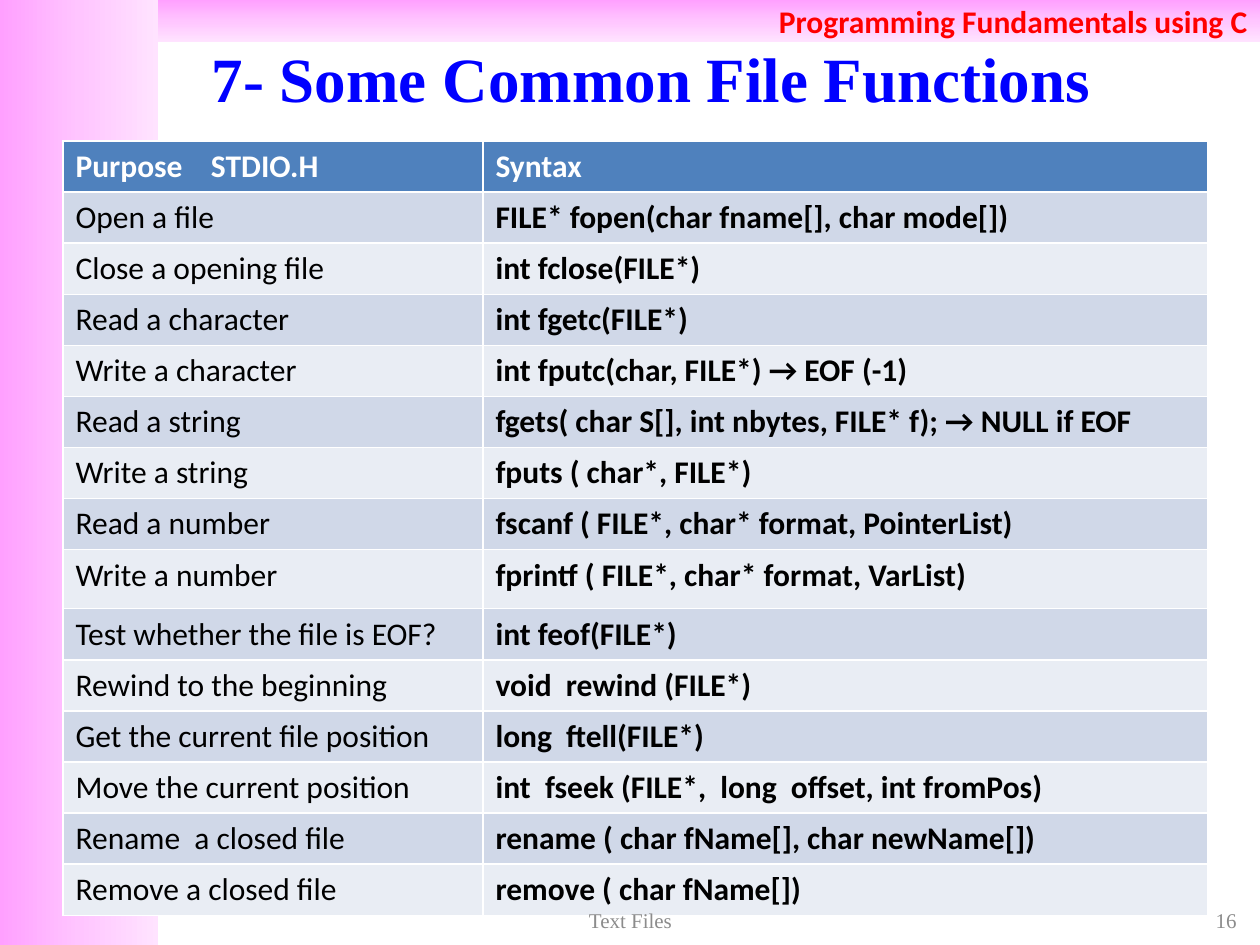
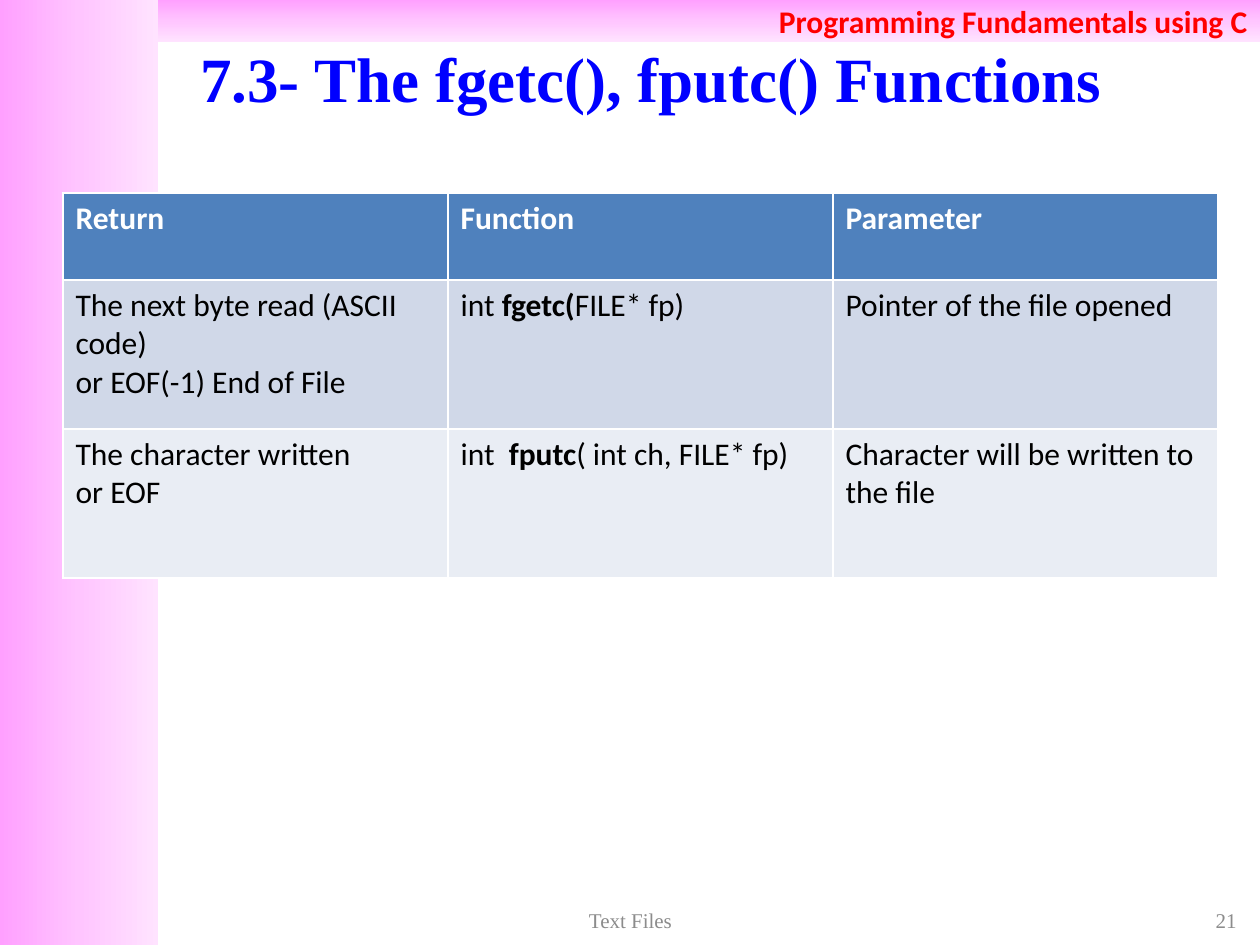
from copy import deepcopy

from pptx import Presentation
from pptx import util as u
from pptx.dml.color import RGBColor
from pptx.enum import shapes, text

PX = 914400 / 126
WIDTH, HEIGHT = 1260, 945
SIDE_WIDTH, BAND_HEIGHT = 158, 42

PINKS = [RGBColor(0xFF, 0xA0, 0xFF), RGBColor(0xFF, 0xC5, 0xFF), RGBColor(0xFF, 0xE3, 0xFF)]
RED = RGBColor(0xFF, 0x00, 0x00)
BLUE = RGBColor(0x00, 0x00, 0xFF)
GREY = RGBColor(0x8C, 0x8C, 0x8C)
WHITE = RGBColor(0xFF, 0xFF, 0xFF)
BLACK = RGBColor(0x00, 0x00, 0x00)
HEADER = RGBColor(0x4F, 0x81, 0xBD)
STRIPES = [RGBColor(0xE9, 0xED, 0xF4), RGBColor(0xD0, 0xD8, 0xE8)]

SANS, SERIF = "Calibri", "Times New Roman"
COURSE = "Programming Fundamentals using C"
FOOTER = "Text Files"

FILE_FUNCTIONS = [
    ("Purpose    STDIO.H", "Syntax"),
    ("Open a file", "FILE* fopen(char fname[], char mode[])"),
    ("Close a opening file", "int fclose(FILE*)"),
    ("Read a character", "int fgetc(FILE*)"),
    ("Write a character", "int fputc(char, FILE*) → EOF (-1)"),
    ("Read a string", "fgets( char S[], int nbytes, FILE* f); → NULL if EOF"),
    ("Write a string", "fputs ( char*, FILE*)"),
    ("Read a number", "fscanf ( FILE*, char* format, PointerList)"),
    ("Write a number", "fprintf ( FILE*, char* format, VarList)"),
    ("Test whether the file is EOF?", "int feof(FILE*)"),
    ("Rewind to the beginning", "void  rewind (FILE*)"),
    ("Get the current file position", "long  ftell(FILE*)"),
    ("Move the current position", "int  fseek (FILE*,  long  offset, int fromPos)"),
    ("Rename  a closed file", "rename ( char fName[], char newName[])"),
    ("Remove a closed file", "remove ( char fName[])"),
]

CHARACTER_FUNCTIONS = [
    ("Return", "Function", "Parameter"),
    ("The next byte read (ASCII code)\nor EOF(-1) End of File",
     "int |fgetc(|FILE* fp)", "Pointer of the file opened"),
    ("The character written\nor EOF",
     "int  |fputc|( int ch, FILE* fp)", "Character will be written to the file"),
]


def px(*lengths):
    return [u.Emu(round(n * PX)) for n in lengths]


def style(run, size, font, color, bold=False):
    run.font.size = u.Pt(size)
    run.font.name = font
    run.font.color.rgb = color
    run.font.bold = bold


def set_line(shape, line, align, *run_style):
    tf = shape.text_frame
    tf.word_wrap = True
    tf.auto_size = text.MSO_AUTO_SIZE.NONE
    tf.vertical_anchor = text.MSO_ANCHOR.MIDDLE
    tf.text = line
    p = tf.paragraphs[0]
    p.alignment = align
    style(p.runs[0], *run_style)


def add_band(slide, box, angle):
    """Add a borderless pink band; angle runs counter-clockwise."""
    sp = slide.shapes.add_shape(shapes.MSO_SHAPE.RECTANGLE, *px(*box))
    sp.shadow.inherit = False
    sp.line.fill.background()
    sp.fill.gradient()
    sp.fill.gradient_angle = angle
    stop_list = sp._element.spPr.find(".//{*}gsLst")
    stop_list.insert(1, deepcopy(stop_list[0]))
    for i, (stop, pink) in enumerate(zip(sp.fill.gradient_stops, PINKS)):
        stop.position = i / 2
        stop.color.rgb = pink
    return sp


def add_frame(prs, title, number):
    """Add a slide with the shared bands, title and footers."""
    slide = prs.slides.add_slide(prs.slide_layouts[5])
    add_band(slide, (0, 0, SIDE_WIDTH, HEIGHT), 0)
    top = add_band(slide, (SIDE_WIDTH, 0, WIDTH - SIDE_WIDTH, BAND_HEIGHT), 270)
    set_line(top, COURSE, text.PP_ALIGN.RIGHT, 18, SANS, RED, True)

    heading = slide.shapes.title
    slide.shapes._spTree.append(heading._element)  # in front of the bands
    heading.left, heading.top, heading.width, heading.height = px(105, 38, 1092, 78)
    set_line(heading, title, text.PP_ALIGN.CENTER, 36, SERIF, BLUE, True)
    return slide


def add_footers(slide, number):
    for line, left, width, align in (
        (str(number), 955, 294, text.PP_ALIGN.RIGHT),
        (FOOTER, 431, 399, text.PP_ALIGN.CENTER),
    ):
        sp = slide.shapes.add_textbox(*px(left, 903, width, 34))
        set_line(sp, line, align, 12, SERIF, GREY)


def fill_cell(cell, content, fill, color, bold):
    """Write the content; parts between bars switch to bold."""
    cell.fill.solid()
    cell.fill.fore_color.rgb = fill
    tf = cell.text_frame
    for i, line in enumerate(content.split("\n")):
        p = tf.add_paragraph() if i else tf.paragraphs[0]
        for j, part in enumerate(line.split("|")):
            if part:
                r = p.add_run()
                r.text = part
                style(r, 18, SANS, color, bold or j % 2 == 1)


def add_grid(slide, left, top, widths, heights, rows, bold_column=None):
    frame = slide.shapes.add_table(
        len(rows), len(widths), *px(left, top, sum(widths), sum(heights)))
    table = frame.table
    for column, width in zip(table.columns, px(*widths)):
        column.width = width
    for row, height in zip(table.rows, px(*heights)):
        row.height = height
    for i, contents in enumerate(rows):
        for j, content in enumerate(contents):
            if i == 0:
                look = HEADER, WHITE, True
            else:
                look = STRIPES[i % 2], BLACK, j == bold_column
            fill_cell(table.cell(i, j), content, *look)


def file_functions_slide(prs, number):
    slide = add_frame(prs, "7- Some Common File Functions", number)
    heights = [51] * len(FILE_FUNCTIONS)
    heights[8] = 59
    add_grid(slide, 63, 141, [420, 725], heights, FILE_FUNCTIONS, bold_column=1)
    add_footers(slide, number)


def character_functions_slide(prs, number):
    slide = add_frame(prs, "7.3- The fgetc(), fputc() Functions", number)
    add_grid(slide, 63, 193, [385] * 3, [87, 149, 149], CHARACTER_FUNCTIONS)
    add_footers(slide, number)


def main():
    prs = Presentation()
    prs.slide_width, prs.slide_height = px(WIDTH, HEIGHT)
    file_functions_slide(prs, 16)
    character_functions_slide(prs, 21)
    prs.save("out.pptx")


if __name__ == "__main__":
    main()
